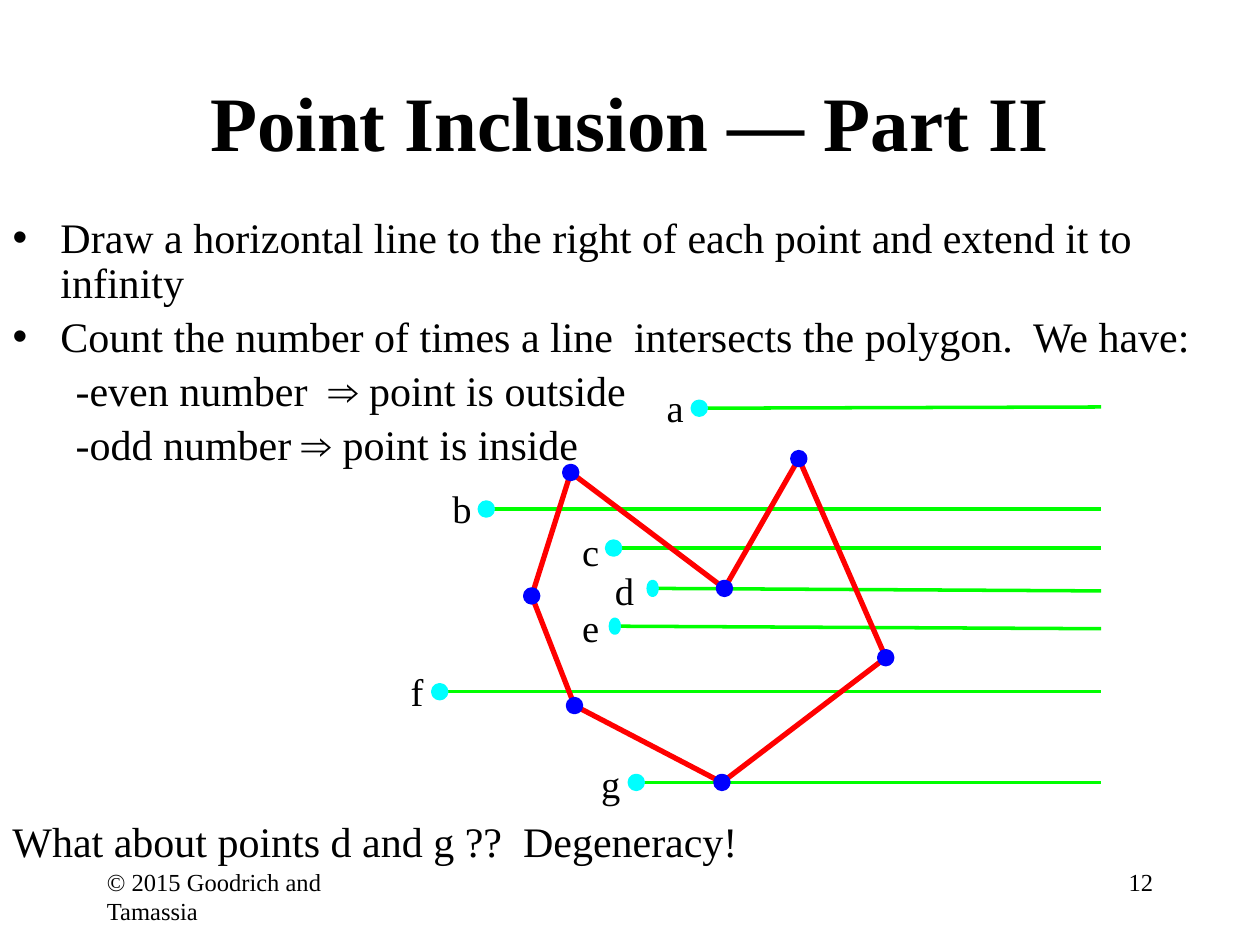
"""Build the point inclusion slide."""
from dataclasses import dataclass

from lxml import etree
from pptx import Presentation
from pptx.dml.color import RGBColor
from pptx.enum.shapes import MSO_CONNECTOR, MSO_SHAPE
from pptx.enum.text import MSO_ANCHOR, MSO_AUTO_SIZE, PP_ALIGN
from pptx.oxml.ns import qn
from pptx.util import Inches, Pt


@dataclass(frozen=True)
class Theme:
    """Colours, font and type sizes of the slide."""
    font: str = "Times New Roman"
    text: RGBColor = RGBColor(0, 0, 0)
    ray: RGBColor = RGBColor(0, 255, 0)
    edge: RGBColor = RGBColor(255, 0, 0)
    vertex: RGBColor = RGBColor(0, 0, 255)
    point: RGBColor = RGBColor(0, 255, 255)
    title_size: int = 44
    body_size: int = 24
    label_size: int = 22
    footer_size: int = 14


class SlideBuilder:
    """Adds styled elements to one slide."""

    def __init__(self, slide, theme):
        self.slide = slide
        self.theme = theme

    def format_text(self, paragraph, size, bold=False, align=PP_ALIGN.LEFT):
        """Style every run of a paragraph."""
        paragraph.alignment = align
        for run in paragraph.runs:
            run.font.name = self.theme.font
            run.font.size = Pt(size)
            run.font.bold = bold
            run.font.color.rgb = self.theme.text

    def place(self, shape, left, top, width, height):
        """Move and size a placeholder."""
        shape.left, shape.top = Inches(left), Inches(top)
        shape.width, shape.height = Inches(width), Inches(height)
        shape.text_frame.auto_size = MSO_AUTO_SIZE.NONE

    def title(self, text, *box):
        """Fill the title placeholder."""
        shape = self.slide.shapes.title
        self.place(shape, *box)
        frame = shape.text_frame
        frame.text = text
        frame.vertical_anchor = MSO_ANCHOR.MIDDLE
        self.format_text(frame.paragraphs[0], self.theme.title_size, True, PP_ALIGN.CENTER)

    def body(self, items, *box):
        """Fill the body placeholder with (text, bulleted) items."""
        shape = self.slide.placeholders[1]
        self.place(shape, *box)
        frame = shape.text_frame
        frame.text = "\n".join(text for text, _ in items)
        for paragraph, (_, bulleted) in zip(frame.paragraphs, items):
            self.format_text(paragraph, self.theme.body_size)
            paragraph.line_spacing = 0.9
            paragraph.space_before = Pt(5)
            properties = paragraph._p.get_or_add_pPr()
            margin, indent = (0.38, -0.38) if bulleted else (0.5, 0)
            properties.set("marL", str(Inches(margin)))
            properties.set("indent", str(Inches(indent)))
            if bulleted:
                etree.SubElement(properties, qn("a:buChar")).set("char", "•")
            else:
                etree.SubElement(properties, qn("a:buNone"))

    def text(self, text, size, left, top, width, height, align=PP_ALIGN.LEFT):
        """Add a wrapping text box."""
        shape = self.slide.shapes.add_textbox(
            Inches(left), Inches(top), Inches(width), Inches(height))
        frame = shape.text_frame
        frame.word_wrap = True
        frame.text = text
        self.format_text(frame.paragraphs[0], size, align=align)
        return frame

    def label(self, text, left, top):
        """Add a point label without margins."""
        frame = self.text(text, self.theme.label_size, left, top, 0.15, 0.37)
        frame.word_wrap = False
        frame.margin_left = frame.margin_right = 0
        frame.margin_top = frame.margin_bottom = 0

    def ray(self, x, y, end_x, end_y):
        """Add a line running right from a point."""
        line = self.slide.shapes.add_connector(
            MSO_CONNECTOR.STRAIGHT, Inches(x), Inches(y), Inches(end_x), Inches(end_y))
        line.line.color.rgb = self.theme.ray
        line.line.width = Pt(2)
        etree.SubElement(line._element.spPr, qn("a:effectLst"))

    def polygon(self, vertices):
        """Add the closed outline through the vertices."""
        corners = [(Inches(x), Inches(y)) for x, y in vertices]
        builder = self.slide.shapes.build_freeform(*corners[0])
        builder.add_line_segments(corners[1:], close=True)
        shape = builder.convert_to_shape()
        shape.shadow.inherit = False
        shape.fill.background()
        shape.line.color.rgb = self.theme.edge
        shape.line.width = Pt(3)

    def dot(self, x, y, color, width=0.1, height=0.1):
        """Add a dot centred on a position."""
        shape = self.slide.shapes.add_shape(
            MSO_SHAPE.OVAL, Inches(x - width / 2), Inches(y - height / 2),
            Inches(width), Inches(height))
        shape.shadow.inherit = False
        shape.fill.solid()
        shape.fill.fore_color.rgb = color
        shape.line.color.rgb = color
        shape.line.width = Pt(2.75)


BODY = [
    ("Draw a horizontal line to the right of each point and extend it to infinity", True),
    ("Count the number of times a line  intersects the polygon.  We have:", True),
    ("-even number  ⇒ point is outside", False),
    ("-odd number ⇒ point is inside", False),
]
VERTICES = [(6.34, 3.64), (5.75, 4.67), (4.53, 3.75), (4.22, 4.73),
            (4.56, 5.6), (5.73, 6.21), (7.03, 5.22)]
RAY_END = 8.74
POINTS = [
    ("a", 5.55, 3.24, 0.1, 3.23, 5.29, 3.05),
    ("b", 3.86, 4.04, 0.1, 4.04, 3.59, 3.85),
    ("c", 4.87, 4.35, 0.1, 4.35, 4.62, 4.19),
    ("d", 5.18, 4.67, 0.06, 4.69, 4.88, 4.5),
    ("e", 4.88, 4.97, 0.06, 4.99, 4.62, 4.79),
    ("f", 3.49, 5.49, 0.1, 5.49, 3.26, 5.3),
    ("g", 5.05, 6.21, 0.1, 6.21, 4.77, 6.03),
]


def main():
    """Create and save the presentation."""
    presentation = Presentation()
    presentation.slide_width, presentation.slide_height = Inches(10), Inches(7.5)
    slide = presentation.slides.add_slide(presentation.slide_layouts[1])
    theme = Theme()
    builder = SlideBuilder(slide, theme)

    builder.text("© 2015 Goodrich and Tamassia", theme.footer_size, 0.75, 6.83, 2.08, 0.5)
    builder.text("12", theme.footer_size, 7.17, 6.83, 2.08, 0.5, PP_ALIGN.RIGHT)
    builder.title("Point Inclusion — Part II", 0.75, 0.33, 8.5, 1.25)
    builder.body(BODY, 0, 1.67, 10, 3.25)

    for _, x, y, _, end_y, _, _ in POINTS:
        builder.ray(x, y, RAY_END, end_y)
    builder.polygon(VERTICES)
    for x, y in VERTICES:
        builder.dot(x, y, theme.vertex)
    for name, x, y, width, _, label_left, label_top in POINTS:
        builder.dot(x, y, theme.point, width)
        builder.label(name, label_left, label_top)

    builder.text("What about points d and g ??  Degeneracy!", theme.body_size,
                 0, 6.42, 8.42, 0.5)
    presentation.save("out.pptx")


if __name__ == "__main__":
    main()
